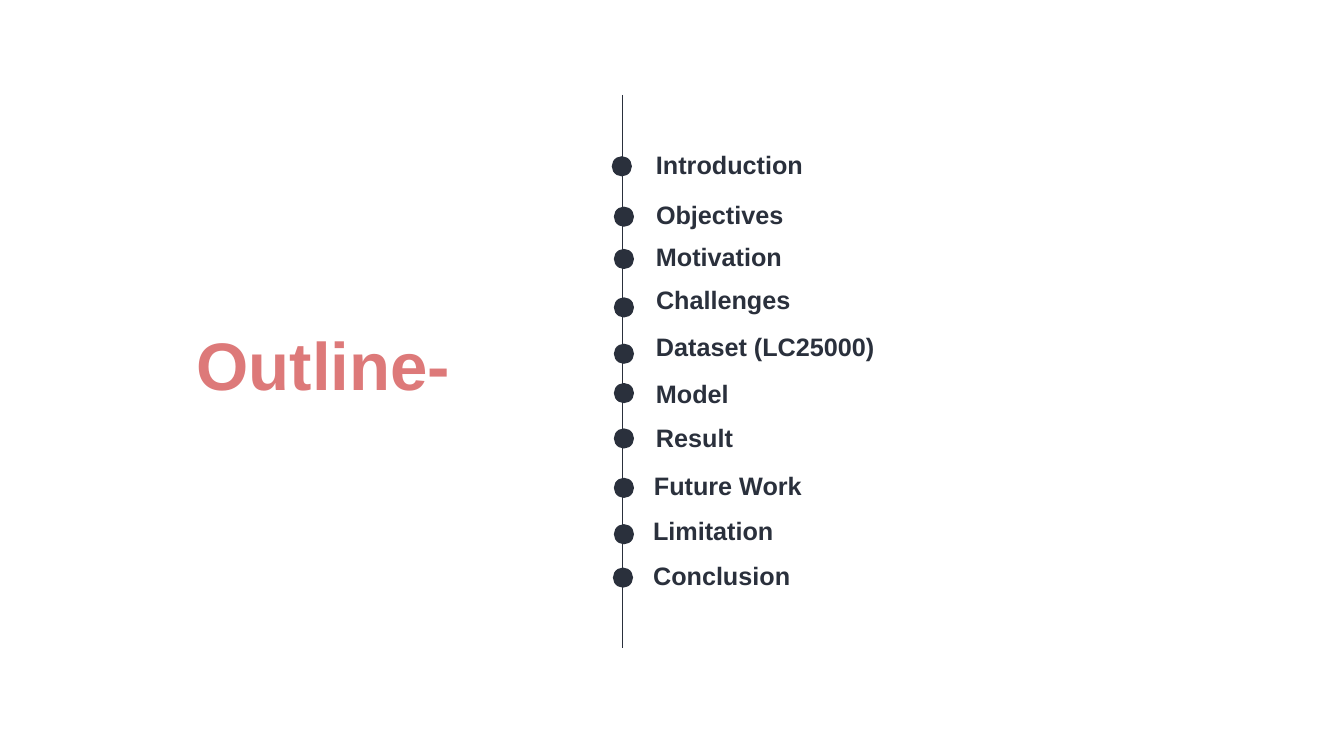
from pptx import Presentation
from pptx.dml.color import RGBColor
from pptx.enum.shapes import MSO_CONNECTOR, MSO_SHAPE
from pptx.enum.text import MSO_ANCHOR, MSO_AUTO_SIZE, PP_ALIGN
from pptx.oxml.ns import qn
from pptx.util import Pt
from lxml import etree

STRAIGHT = MSO_CONNECTOR.STRAIGHT
OVAL = MSO_SHAPE.OVAL
TOP = MSO_ANCHOR.TOP
FIT_SHAPE = MSO_AUTO_SIZE.SHAPE_TO_FIT_TEXT
LEFT = PP_ALIGN.LEFT

NAVY = RGBColor(0x2A, 0x30, 0x3C)
CORAL = RGBColor(0xDD, 0x79, 0x79)
FONT = "Arial"
TITLE_ONLY = 5

LINE_X = 444.25
DOT_SIZE = 14.4
LABEL_HEIGHT = 28.8

# label, label left, label top, label width, dot left, dot top
TOPICS = [
    ("Introduction", 461.5, 103, 120.2, 437, 111.6),
    ("Objectives", 461.5, 139, 106.6, 438.5, 147.6),
    ("Motivation", 461.5, 168.5, 105.1, 438.5, 177.8),
    ("Challenges", 461.5, 199.4, 111.6, 438.5, 212.4),
    ("Dataset (LC25000)", 461.5, 233.3, 177.1, 438.5, 245.5),
    ("Model", 461.5, 266.4, 67, 438.5, 273.6),
    ("Result", 461.5, 298.1, 69.8, 438.5, 306),
    ("Future Work", 460, 332.6, 121, 438.5, 341.3),
    ("Limitation", 459.4, 364.3, 101.5, 438.5, 374.4),
    ("Conclusion", 459.4, 396.7, 113.8, 437.8, 405.4),
]


def write_text(shape, text, size, color):
    frame = shape.text_frame
    frame.word_wrap = False
    frame.auto_size = FIT_SHAPE
    frame.vertical_anchor = TOP
    paragraph = frame.paragraphs[0]
    paragraph.alignment = LEFT
    paragraph.line_spacing = 1.0
    paragraph.space_before = Pt(0)
    run = paragraph.add_run()
    run.text = text
    run.font.name = FONT
    run.font.size = Pt(size)
    run.font.bold = True
    run.font.color.rgb = color


def set_title(slide, text):
    title = slide.shapes.title
    title.left, title.top = Pt(133.2), Pt(227.5)
    title.width, title.height = Pt(198), Pt(65.5)
    write_text(title, text, 48, CORAL)


def add_timeline(slide, top, bottom):
    line = slide.shapes.add_connector(
        STRAIGHT, Pt(LINE_X), Pt(top), Pt(LINE_X), Pt(bottom))
    line.line.color.rgb = NAVY
    line.line.width = Pt(0.5)
    etree.SubElement(line._element.spPr, qn("a:effectLst"))


def add_dot(slide, left, top):
    dot = slide.shapes.add_shape(
        OVAL, Pt(left), Pt(top), Pt(DOT_SIZE), Pt(DOT_SIZE))
    dot.shadow.inherit = False
    dot.fill.solid()
    dot.fill.fore_color.rgb = NAVY
    dot.line.fill.background()


def add_label(slide, text, left, top, width):
    label = slide.shapes.add_textbox(
        Pt(left), Pt(top), Pt(width), Pt(LABEL_HEIGHT))
    write_text(label, text, 18, NAVY)


def main():
    presentation = Presentation()
    presentation.slide_width = Pt(960)
    presentation.slide_height = Pt(540)
    slide = presentation.slides.add_slide(
        presentation.slide_layouts[TITLE_ONLY])
    add_timeline(slide, 67.7, 463)
    set_title(slide, "Outline-")
    for text, left, top, width, dot_left, dot_top in TOPICS:
        add_dot(slide, dot_left, dot_top)
        add_label(slide, text, left, top, width)
    presentation.save("out.pptx")


if __name__ == "__main__":
    main()
